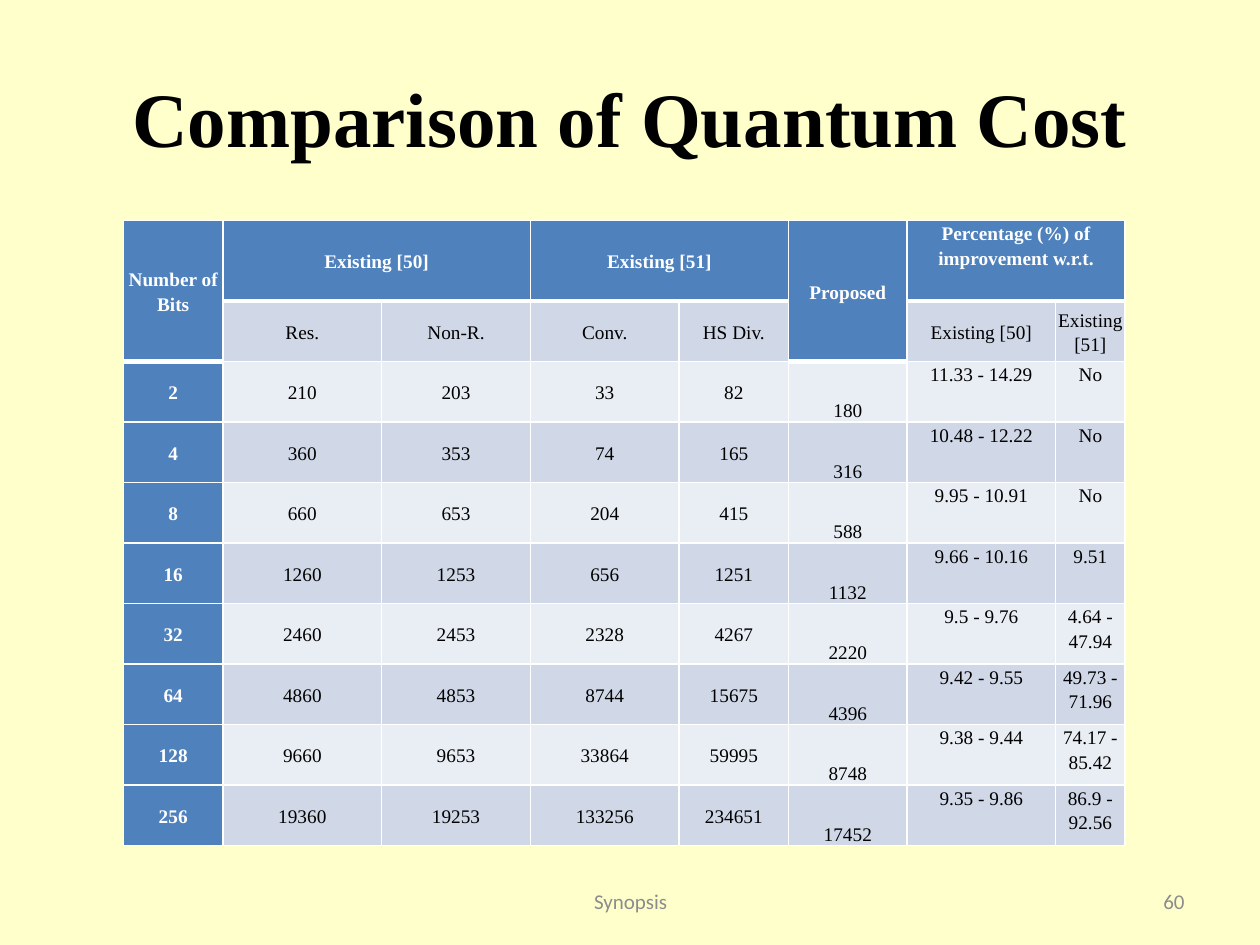
import pptx
import pptx.dml.color
import pptx.enum.text
import pptx.oxml
import pptx.oxml.ns
import pptx.util

Inches, Pt = pptx.util.Inches, pptx.util.Pt
ANCHOR, ALIGN = pptx.enum.text.MSO_ANCHOR, pptx.enum.text.PP_ALIGN

THEME = {
    "background": "FFFFCC", "header": "4F81BD", "bands": ("E9EDF4", "D0D8E8"),
    "light": "FFFFFF", "dark": "000000", "muted": "8C8C8C",
    "serif": "Times New Roman", "sans": "Calibri",
    "title_size": 44, "table_size": 11, "footer_size": 12,
    "thin": 1, "thick": 3, "line_spacing": 1.15,
}
SLIDE_WIDTH, SLIDE_HEIGHT = 10, 7.5

TITLE = "Comparison of Quantum Cost"
COST_ROWS = [
    ["Number of Bits", "Existing [50]", "", "Existing [51]", "", "Proposed",
     "Percentage (%) of improvement w.r.t.", ""],
    ["", "Res.", "Non-R.", "Conv.", "HS Div.", "", "Existing [50]", "Existing [51]"],
    ["2", "210", "203", "33", "82", "180", "11.33 - 14.29", "No"],
    ["4", "360", "353", "74", "165", "316", "10.48 - 12.22", "No"],
    ["8", "660", "653", "204", "415", "588", "9.95 - 10.91", "No"],
    ["16", "1260", "1253", "656", "1251", "1132", "9.66 - 10.16", "9.51"],
    ["32", "2460", "2453", "2328", "4267", "2220", "9.5 - 9.76", "4.64 - 47.94"],
    ["64", "4860", "4853", "8744", "15675", "4396", "9.42 - 9.55", "49.73 - 71.96"],
    ["128", "9660", "9653", "33864", "59995", "8748", "9.38 - 9.44", "74.17 - 85.42"],
    ["256", "19360", "19253", "133256", "234651", "17452", "9.35 - 9.86", "86.9 - 92.56"],
]
MERGES = [((0, 0), (1, 0)), ((0, 1), (0, 2)), ((0, 3), (0, 4)),
          ((0, 5), (1, 5)), ((0, 6), (0, 7))]
TABLE_LEFT, TABLE_TOP = 0.98, 1.75
COLUMN_WIDTHS = [0.79, 1.26, 1.18, 1.18, 0.87, 0.94, 1.18, 0.55]
HEADER_HEIGHT, ROW_HEIGHT = 0.64, 0.48
BITS, PROPOSED, IMPROVEMENT = 0, 5, 6
TALL_HEADERS = (BITS, PROPOSED)


def rgb(name):
    return pptx.dml.color.RGBColor.from_string(name)


def format_runs(paragraph, font_name, size, color, bold=False):
    for run in paragraph.runs:
        run.font.name, run.font.size, run.font.bold = font_name, Pt(size), bold
        run.font.color.rgb = rgb(color)


def add_text(slide, text, box, alignment, **style):
    shape = slide.shapes.add_textbox(*(Inches(length) for length in box))
    frame = shape.text_frame
    frame.word_wrap, frame.vertical_anchor = True, ANCHOR.MIDDLE
    frame.text = text
    frame.paragraphs[0].alignment = alignment
    format_runs(frame.paragraphs[0], **style)


def set_borders(cell, top, bottom):
    widths = {"lnL": THEME["thin"], "lnR": THEME["thin"], "lnT": top, "lnB": bottom}
    properties = cell._tc.get_or_add_tcPr()
    for index, (side, width) in enumerate(widths.items()):
        properties.insert(index, pptx.oxml.parse_xml(
            f'<a:{side} {pptx.oxml.ns.nsdecls("a")} w="{Pt(width)}"><a:solidFill>'
            f'<a:srgbClr val="{THEME["light"]}"/></a:solidFill></a:{side}>'))


def ends_header(row, column):
    """Tell whether the heavy rule under the header runs below this cell."""
    return row == (1 if column in TALL_HEADERS else 0)


def cell_anchor(row, column):
    if column >= IMPROVEMENT and row != 1:
        return ANCHOR.TOP
    return ANCHOR.BOTTOM if column == PROPOSED and row > 1 else ANCHOR.MIDDLE


def style_cell(cell, row, column):
    is_header = row == 0 or column == BITS or (row, column) == (1, PROPOSED)
    cell.fill.solid()
    cell.fill.fore_color.rgb = rgb(THEME["header"] if is_header else THEME["bands"][row % 2])
    rule = (THEME["thin"], THEME["thick"])
    set_borders(cell, rule[ends_header(row - 1, column)], rule[ends_header(row, column)])
    cell.margin_top = cell.margin_bottom = 0
    cell.margin_left = cell.margin_right = Inches(0 if column >= IMPROVEMENT else 0.02)
    cell.vertical_anchor = cell_anchor(row, column)
    paragraph = cell.text_frame.paragraphs[0]
    paragraph.alignment = ALIGN.CENTER
    paragraph.line_spacing = THEME["line_spacing"]
    format_runs(paragraph, THEME["serif"], THEME["table_size"],
                THEME["light"] if is_header else THEME["dark"], is_header)


def add_cost_table(slide):
    heights = [HEADER_HEIGHT] + [ROW_HEIGHT] * (len(COST_ROWS) - 1)
    table = slide.shapes.add_table(
        len(heights), len(COLUMN_WIDTHS), Inches(TABLE_LEFT), Inches(TABLE_TOP),
        Inches(sum(COLUMN_WIDTHS)), Inches(sum(heights))).table
    for column, width in zip(table.columns, COLUMN_WIDTHS):
        column.width = Inches(width)
    for table_row, height in zip(table.rows, heights):
        table_row.height = Inches(height)
    for row, values in enumerate(COST_ROWS):
        for column, value in enumerate(values):
            cell = table.cell(row, column)
            if value:
                cell.text_frame.text = value
            style_cell(cell, row, column)
    for first, last in MERGES:
        table.cell(*first).merge(table.cell(*last))


def main():
    presentation = pptx.Presentation()
    presentation.slide_width = Inches(SLIDE_WIDTH)
    presentation.slide_height = Inches(SLIDE_HEIGHT)
    slide = presentation.slides.add_slide(presentation.slide_layouts[6])
    slide.background.fill.solid()
    slide.background.fill.fore_color.rgb = rgb(THEME["background"])

    add_text(slide, TITLE, (0.5, 0.3, 9, 1.25), ALIGN.CENTER, font_name=THEME["serif"],
             size=THEME["title_size"], color=THEME["dark"], bold=True)
    add_cost_table(slide)
    footer = {"font_name": THEME["sans"], "size": THEME["footer_size"],
              "color": THEME["muted"]}
    add_text(slide, "Synopsis", (3.42, 6.95, 3.17, 0.4), ALIGN.CENTER, **footer)
    add_text(slide, "60", (7.17, 6.95, 2.33, 0.4), ALIGN.RIGHT, **footer)
    presentation.save("out.pptx")


if __name__ == "__main__":
    main()
